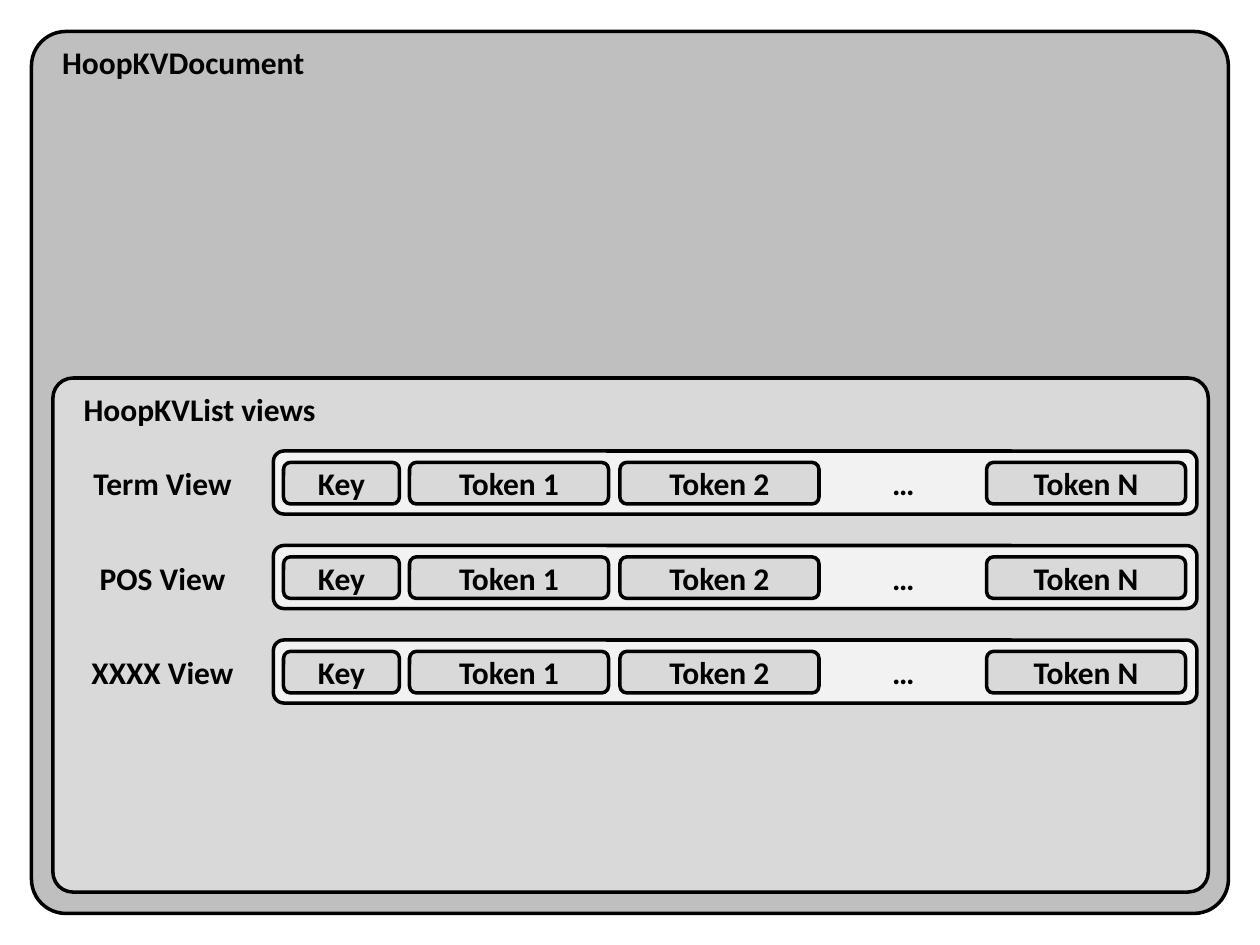
from dataclasses import dataclass
from typing import Optional

import pptx
import pptx.dml.color
import pptx.enum.shapes
import pptx.enum.text
import pptx.util

Inches = pptx.util.Inches

BLACK = "000000"
DOCUMENT_GREY = "BFBFBF"
PANEL_GREY = "D9D9D9"
ROW_GREY = "F2F2F2"
CELL_HEIGHT = 0.33
PANEL_CORNER = 0.039
DEFAULT_CORNER = 0.16667


@dataclass
class Box:
    left: float
    top: float
    width: float
    height: float = CELL_HEIGHT
    text: str = ""
    fill: Optional[str] = None
    corner: float = DEFAULT_CORNER


@dataclass
class Cell:
    text: str
    left: float
    width: float
    fill: Optional[str] = PANEL_GREY


@dataclass
class View:
    name: str
    left: float
    width: float


def color(value: str) -> pptx.dml.color.RGBColor:
    return pptx.dml.color.RGBColor.from_string(value)


def draw_box(page, box: Box) -> None:
    """Draw a rounded box; one without a fill is a plain label."""
    shape = page.shapes.add_shape(
        pptx.enum.shapes.MSO_SHAPE.ROUNDED_RECTANGLE,
        Inches(box.left), Inches(box.top), Inches(box.width), Inches(box.height))
    shape.adjustments[0] = box.corner
    shape.shadow.inherit = False
    if box.fill:
        shape.fill.solid()
        shape.fill.fore_color.rgb = color(box.fill)
        shape.line.color.rgb = color(BLACK)
        shape.line.width = pptx.util.Pt(2)
    else:
        shape.fill.background()
        shape.line.fill.background()
    if box.text:
        frame = shape.text_frame
        frame.word_wrap = True
        frame.vertical_anchor = pptx.enum.text.MSO_ANCHOR.MIDDLE
        para = frame.paragraphs[0]
        para.alignment = pptx.enum.text.PP_ALIGN.CENTER
        span = para.add_run()
        span.text = box.text
        span.font.name = "Calibri"
        span.font.size = pptx.util.Pt(18)
        span.font.bold = True
        span.font.color.rgb = color(BLACK)


def draw_view(page, view: View, top: float) -> None:
    """Draw one key and token row with its name on the left."""
    cell_top = top + 0.09
    draw_box(page, Box(2.17, top, 7.33, 0.5, fill=ROW_GREY))
    for cell in CELLS:
        draw_box(page, Box(cell.left, cell_top, cell.width,
                           text=cell.text, fill=cell.fill))
    draw_box(page, Box(view.left, cell_top, view.width, text=view.name))


CELLS = [
    Cell("Key", 2.25, 0.92),
    Cell("Token 1", 3.25, 1.58),
    Cell("Token 2", 4.92, 1.58),
    Cell("…", 6.67, 1, fill=None),
    Cell("Token N", 7.83, 1.58),
]
VIEWS = [
    View("Term View", 0.5, 1.58),
    View("POS View", 0.58, 1.42),
    View("XXXX View", 0.58, 1.42),
]

deck = pptx.Presentation()
deck.slide_width = Inches(10)
deck.slide_height = Inches(7.5)
page = deck.slides.add_slide(deck.slide_layouts[6])

# Document and list panels with their titles
for panel in (
    Box(0.25, 0.25, 9.5, 7, fill=DOCUMENT_GREY, corner=PANEL_CORNER),
    Box(0.42, 3, 9.17, 4.08, fill=PANEL_GREY, corner=PANEL_CORNER),
    Box(0.33, 0.33, 2.25, text="HoopKVDocument"),
    Box(0.5, 3.08, 2.17, text="HoopKVList views"),
):
    draw_box(page, panel)

# View rows
for index, view in enumerate(VIEWS):
    draw_view(page, view, 3.58 + 0.75 * index)

deck.save("out.pptx")
